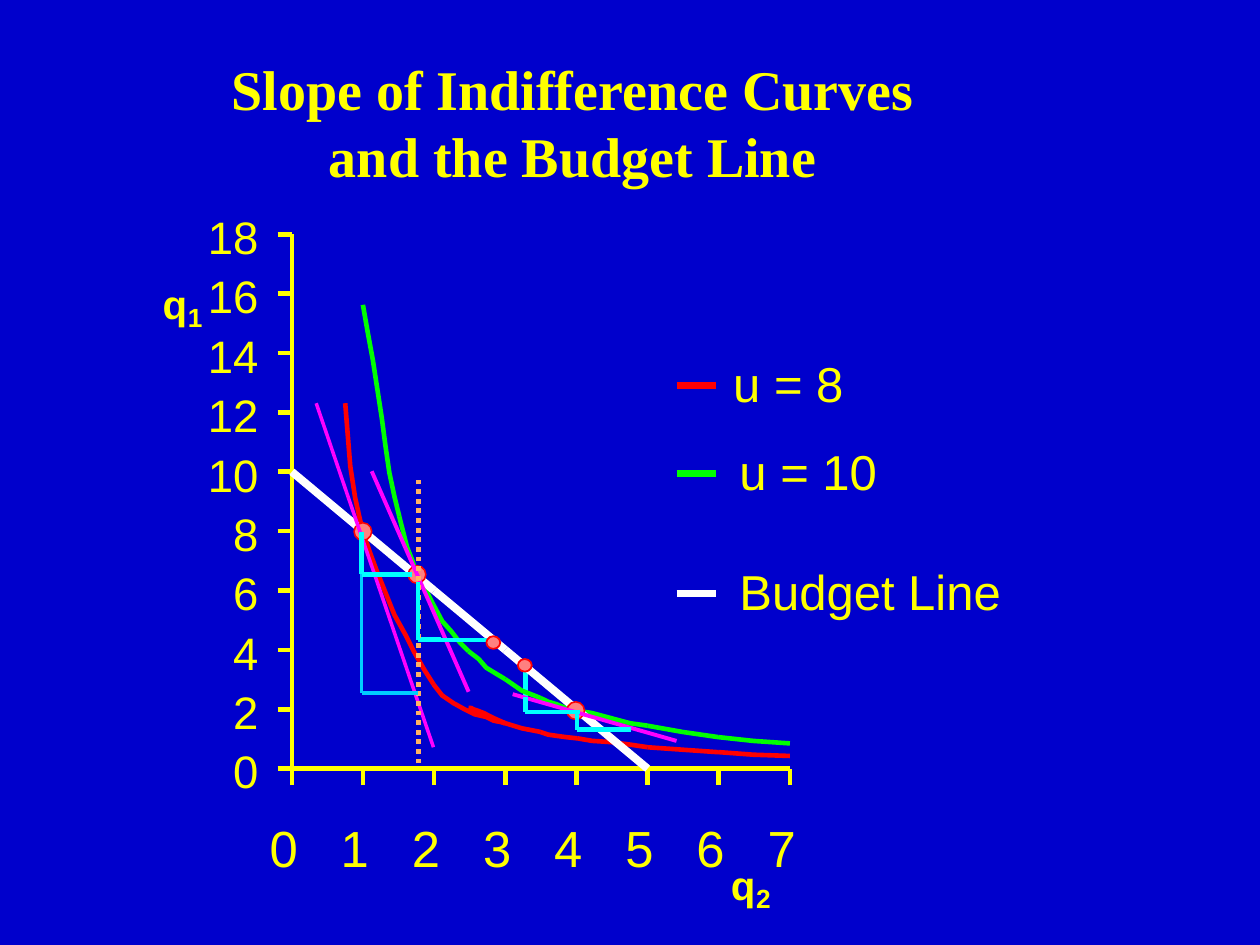
from pptx import Presentation
from pptx.dml.color import RGBColor
from pptx.enum.dml import MSO_LINE
from pptx.enum.shapes import MSO_CONNECTOR, MSO_SHAPE
from pptx.enum.text import MSO_AUTO_SIZE, PP_ALIGN
from pptx.oxml.ns import qn
from pptx.util import Pt
from lxml import etree

NAVY = RGBColor(0x00, 0x00, 0xCC)
YELLOW = RGBColor(0xFF, 0xFF, 0x00)
WHITE = RGBColor(0xFF, 0xFF, 0xFF)
RED = RGBColor(0xFF, 0x00, 0x00)
GREEN = RGBColor(0x00, 0xFF, 0x00)
CYAN = RGBColor(0x00, 0xFF, 0xFF)
SKY = RGBColor(0x00, 0xCC, 0xFF)
MAGENTA = RGBColor(0xFF, 0x00, 0xFF)
ORANGE = RGBColor(0xFF, 0xB1, 0x63)
PINK = RGBColor(0xFF, 0x80, 0x80)

# Plot area: origin and tick distances
X0, Y0 = 166.8, 439.2
X_STEP, Y_STEP = 40.65, 33.92
X_TICKS, Y_TICKS = 7, 9
PLOT_WIDTH = 2.64

# Each curve is a start point and the pieces that follow on from it
U8_START = (197.3, 230.4)
U8_PIECES = [
    [(198.7, 247.7), (200.2, 266.4), (203, 284.4), (205.2, 294.5), (207.4, 303.8)],
    [(211, 314.6), (215.3, 326.2), (225.4, 351.4), (231.8, 362.9), (236.9, 373),
     (242.6, 383), (247.7, 391)],
    [(252.7, 397.4), (259.2, 401.8), (265.7, 405.4), (271.4, 408.2), (277.9, 409.7),
     (282.2, 411.8), (286.6, 412.6), (288.7, 413.3)],
    [(286.6, 412.6), (283, 411.8), (280.1, 409.7), (275, 407.5), (271.4, 406.1),
     (269.3, 405.4), (267.8, 404.6)],
    [(269.3, 404.6), (270.7, 405.4), (272.9, 406.1), (276.5, 407.5), (282.2, 410.4),
     (288.7, 413.3)],
    [(298.1, 416.2), (308.9, 418.3)],
    [(313.2, 419.8), (318.2, 420.5), (323.3, 421.2), (329.8, 421.9)],
    [(338.4, 423.4), (349.2, 424.1), (360, 425.5), (370.1, 427)],
    [(410.4, 429.8)],
    [(430.6, 431.3), (451.4, 432)],
]
U10_START = (207.4, 174.2)
U10_PIECES = [
    [(210.2, 190.1), (213.1, 205.9), (218.2, 239), (220.3, 254.9), (222.5, 270),
     (225.4, 283.7), (228.2, 295.2)],
    [(230.4, 303.8), (232.6, 312.5), (235.4, 319.7), (237.6, 326.2), (240.5, 331.2),
     (243.4, 337), (247.7, 345.6)],
    [(252.7, 355), (257.8, 360.7), (262.8, 367.2), (267.8, 372.2)],
    [(273.6, 376.6), (277.9, 381.6), (288.7, 388.1)],
    [(298.1, 394.6), (308.9, 398.9)],
    [(313.2, 401), (318.2, 402.5), (323.3, 404.6), (329.8, 406.1)],
    [(338.4, 407.5), (349.2, 410.4), (360, 413.3), (370.1, 414.7)],
    [(390.2, 418.3), (410.4, 421.2)],
    [(430.6, 423.4), (451.4, 424.8)],
]


def add_line(s, x1, y1, x2, y2, color, width, dash=None):
    c = s.shapes.add_connector(MSO_CONNECTOR.STRAIGHT, Pt(x1), Pt(y1), Pt(x2), Pt(y2))
    c.line.color.rgb = color
    c.line.width = Pt(width)
    if dash:
        c.line.dash_style = dash
    etree.SubElement(c._element.spPr, qn("a:effectLst"))


def add_step(s, x, top, bottom, right, color=CYAN, width=2.5):
    """Slope triangle: down from the line, then across to it."""
    add_line(s, x, top, x, bottom, color, width)
    add_line(s, x, bottom, right, bottom, color, width)


def add_curve(s, start, pieces, color):
    for points in pieces:
        builder = s.shapes.build_freeform(Pt(start[0]), Pt(start[1]))
        builder.add_line_segments([(Pt(x), Pt(y)) for x, y in points], close=False)
        sp = builder.convert_to_shape()
        sp.shadow.inherit = False
        sp.fill.background()
        sp.line.color.rgb = color
        sp.line.width = Pt(PLOT_WIDTH)
        start = points[-1]


def add_dot(s, x, y, width, height, outline):
    sp = s.shapes.add_shape(MSO_SHAPE.OVAL, Pt(x - width / 2), Pt(y - height / 2),
                            Pt(width), Pt(height))
    sp.shadow.inherit = False
    sp.fill.solid()
    sp.fill.fore_color.rgb = PINK
    sp.line.color.rgb = RED
    sp.line.width = Pt(outline)


def add_text(s, x, y, width, height, text, size, bold=False, font="Arial",
             align=PP_ALIGN.LEFT):
    tf = s.shapes.add_textbox(Pt(x), Pt(y), Pt(width), Pt(height)).text_frame
    tf.margin_left = tf.margin_right = tf.margin_top = tf.margin_bottom = 0
    tf.word_wrap = False
    tf.auto_size = MSO_AUTO_SIZE.SHAPE_TO_FIT_TEXT
    tf.text = text
    for p in tf.paragraphs:
        p.alignment = align
        for r in p.runs:
            r.font.name = font
            r.font.size = Pt(size)
            r.font.bold = bold
            r.font.color.rgb = YELLOW


def add_axes(s):
    right, top = X0 + X_TICKS * X_STEP, Y0 - Y_TICKS * Y_STEP
    add_line(s, X0, top, X0, Y0, YELLOW, PLOT_WIDTH)
    for i in range(Y_TICKS + 1):
        y = Y0 - i * Y_STEP
        add_line(s, X0 - 8.2, y, X0, y, YELLOW, PLOT_WIDTH)
    add_line(s, X0, Y0, right, Y0, YELLOW, PLOT_WIDTH)
    for i in range(X_TICKS + 1):
        x = X0 + i * X_STEP
        add_line(s, x, Y0 + 9.4, x, Y0, YELLOW, PLOT_WIDTH)


def add_axis_labels(s):
    for i in range(Y_TICKS + 1):
        label = str(2 * i)
        digits = len(label)
        add_text(s, 147.6 - 14.4 * digits, 424.8 - i * Y_STEP, 14.8 * digits, 31,
                 label, 26)
    for i in range(X_TICKS + 1):
        add_text(s, 154.1 + i * X_STEP, 466.6, 16.6, 34.6, str(i), 29)
    for x, y, index in [(417.6, 491.8, "2"), (92.9, 159.8, "1")]:
        add_text(s, x, y, 14.4, 27.4, "q", 23, bold=True)
        add_text(s, x + 14.4, y + 12.2, 8.6, 18, index, 15, bold=True)


def add_legend(s):
    for y, x, width, label, color in [(339.1, 422.6, 152, "Budget Line", WHITE),
                                      (220.3, 419, 65, "u = 8", RED),
                                      (270.7, 422.6, 80, "u = 10", GREEN)]:
        add_line(s, 386.6, y, 409, y, color, 4)
        add_text(s, x, y - 18.3, width, 33.8, label, 28)


def main():
    prs = Presentation()
    prs.slide_width, prs.slide_height = Pt(720), Pt(540)
    s = prs.slides.add_slide(prs.slide_layouts[6])
    s.background.fill.solid()
    s.background.fill.fore_color.rgb = NAVY

    # Slope marks behind the curves
    add_line(s, 300.2, 383.8, 300.2, 406.8, CYAN, 2.5)
    add_step(s, 239, 331.2, 365, 252)

    # Axes, indifference curves and budget line
    add_axes(s)
    add_curve(s, U8_START, U8_PIECES, RED)
    add_curve(s, U10_START, U10_PIECES, GREEN)
    for i in range(5):
        add_line(s, X0 + i * X_STEP, Y0 - (5 - i) * Y_STEP,
                 X0 + (i + 1) * X_STEP, Y0 - (4 - i) * Y_STEP, WHITE, 4.5)
    for x, y in [(207.4, 303.8), (238.3, 328.3), (329, 406.1)]:
        add_dot(s, x, y, 10.1, 10.1, 0.88)

    # Labels, title and legend
    add_axis_labels(s)
    add_text(s, 130.8, 31, 393, 77, "Slope of Indifference Curves\nand the Budget Line",
             32, bold=True, font="Times New Roman", align=PP_ALIGN.CENTER)
    add_legend(s)

    # Tangents
    add_line(s, 180.7, 230.4, 247.7, 427, MAGENTA, 2)
    add_line(s, 212.4, 269.3, 267.8, 395.3, MAGENTA, 2.25)
    add_line(s, 293, 396.7, 386.6, 423.4, MAGENTA, 2.25)

    # Slope triangles with their end points
    add_step(s, 329.8, 407.5, 416.9, 360.7)
    add_line(s, 239, 436.3, 239, 272.9, ORANGE, 2.75, MSO_LINE.ROUND_DOT)
    add_step(s, 206.6, 303.8, 396, 239, SKY, 2.25)
    add_step(s, 206.6, 303.8, 328.3, 235.4)
    add_step(s, 239, 332.6, 365.8, 283)
    add_dot(s, 281.9, 367.2, 7.9, 7.2, 1)
    add_step(s, 300.2, 398.2, 406.8, 331.2)
    add_dot(s, 299.9, 380.2, 7.9, 7.2, 1)

    prs.save("out.pptx")


if __name__ == "__main__":
    main()
